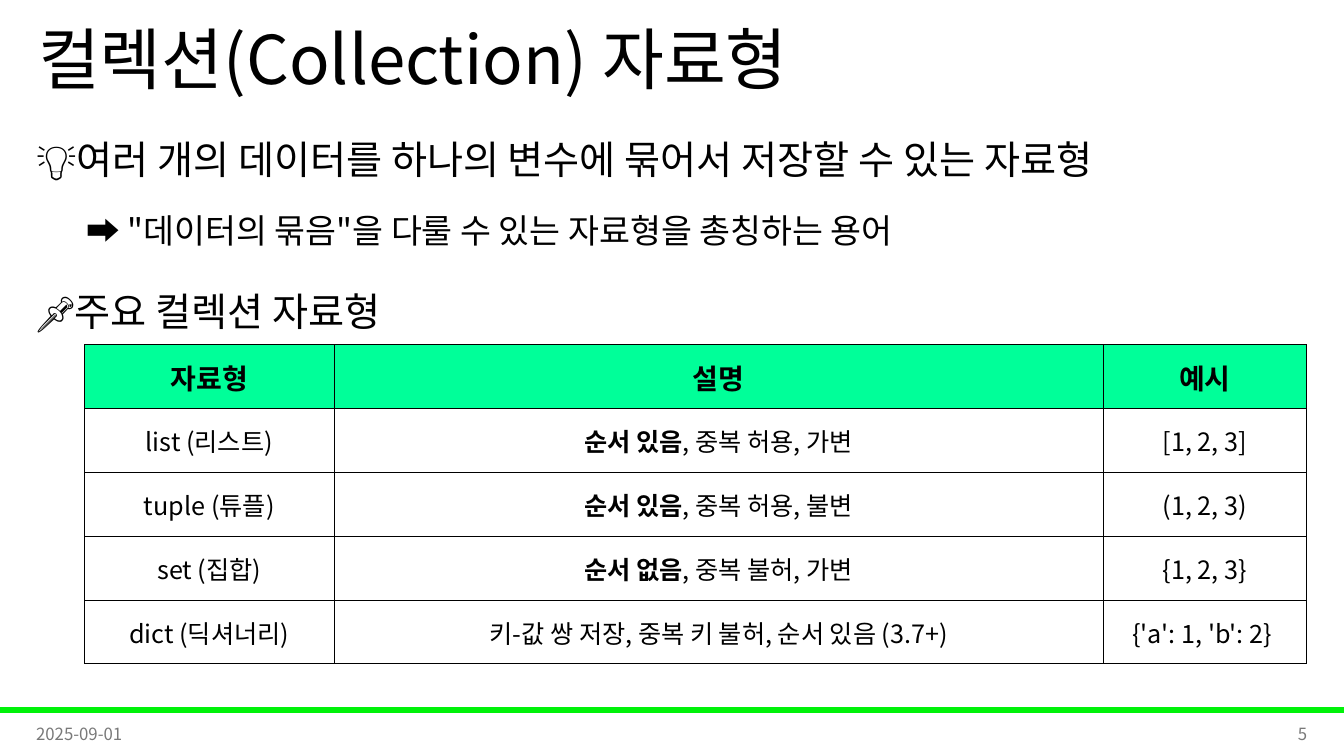
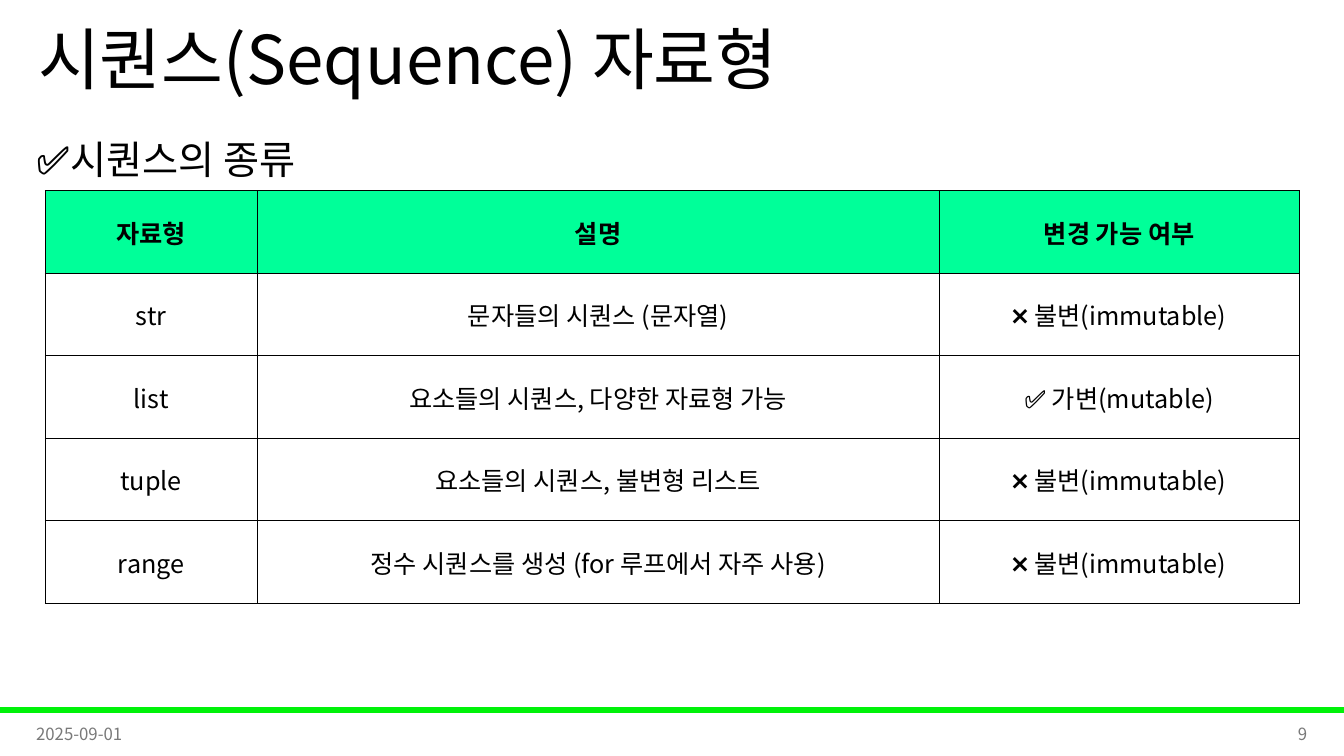
from lxml import etree
from pptx import Presentation
from pptx.dml.color import RGBColor
from pptx.enum.shapes import MSO_SHAPE
from pptx.enum.text import MSO_ANCHOR, PP_ALIGN
from pptx.oxml.ns import qn
from pptx.util import Inches, Pt

RECT = MSO_SHAPE.RECTANGLE
LEFT, MID, RIGHT = PP_ALIGN.LEFT, PP_ALIGN.CENTER, PP_ALIGN.RIGHT
TOP, CENTRE = MSO_ANCHOR.TOP, MSO_ANCHOR.MIDDLE

WIDE, HIGH = Inches(13.33), Inches(7.5)
FONT = "Noto Sans CJK KR"
HUE = {"text": "000000", "mute": "797979", "bar": "00F209",
       "head": "00FF99", "cell": "FFFFFF", "rule": "000000"}
DATE = "2025-09-01"
EDGE, SPAN = 1.95, 96.05
FOOT = 94.35

KINDS = [
    ["자료형", "설명", "예시"],
    ["list (리스트)", "*순서 있음*, 중복 허용, 가변", "[1, 2, 3]"],
    ["tuple (튜플)", "*순서 있음*, 중복 허용, 불변", "(1, 2, 3)"],
    ["set (집합)", "*순서 없음*, 중복 불허, 가변", "{1, 2, 3}"],
    ["dict (딕셔너리)", "키-값 쌍 저장, 중복 키 불허, 순서 있음 (3.7+)", "{'a': 1, 'b': 2} "],
]
FIXED = "❌ 불변(immutable)"
ORDERS = [
    ["자료형", "설명", "변경 가능 여부"],
    ["str", "문자들의 시퀀스 (문자열)", FIXED],
    ["list", "요소들의 시퀀스, 다양한 자료형 가능", "✅ 가변(mutable)"],
    ["tuple", "요소들의 시퀀스, 불변형 리스트", FIXED],
    ["range", "정수 시퀀스를 생성 (for 루프에서 자주 사용)", FIXED],
]


def rgb(name):
    return RGBColor.from_string(HUE[name])


def area(x, y, w, h):
    """Turn percentages of the slide into lengths."""
    return (int(WIDE * x / 100), int(HIGH * y / 100),
            int(WIDE * w / 100), int(HIGH * h / 100))


def write(para, text, size=18, hue="text", bold=False, align=LEFT,
          lead=None, gap=0, level=0):
    """Fill a paragraph; a part between asterisks is bold."""
    para.alignment, para.space_before, para.level = align, Pt(gap), level
    if lead:
        para.line_spacing = lead
    if level:
        para._p.get_or_add_pPr().set("marL", str(Inches(level / 2)))
    for num, part in enumerate(text.split("*")):
        if not part:
            continue
        run = para.add_run()
        run.text = part
        font = run.font
        font.size, font.name = Pt(size), FONT
        font.bold = bold or num % 2 == 1
        font.color.rgb = rgb(hue)
        etree.SubElement(run._r.get_or_add_rPr(), qn("a:ea"), typeface=FONT)


def label(slide, place, lines, anchor=CENTRE, **style):
    """Add a text box; each line is a text with its own format."""
    frame = slide.shapes.add_textbox(*area(*place)).text_frame
    frame.word_wrap, frame.vertical_anchor = True, anchor
    for num, (text, own) in enumerate(lines):
        para = frame.add_paragraph() if num else frame.paragraphs[0]
        write(para, text, **{**style, **own})


def body(slide, high, lines):
    forms = [dict(size=28, gap=10), dict(size=24, gap=5, level=1)]
    label(slide, (EDGE, 14.13, SPAN, high),
          [(text, forms[level]) for level, text in lines],
          anchor=TOP, lead=1.5)


def border(cell):
    props = cell._tc.get_or_add_tcPr()
    for num, side in enumerate("LRTB"):
        line = etree.Element(qn("a:ln" + side), w=str(Pt(0.5)))
        fill = etree.SubElement(line, qn("a:solidFill"))
        etree.SubElement(fill, qn("a:srgbClr"), val=HUE["rule"])
        props.insert(num, line)


def grid(slide, place, cols, rows, head):
    """Add a table; cols are shares of its width, head is the header size."""
    x, y, w, h = area(*place)
    table = slide.shapes.add_table(len(rows), len(cols), x, y, w, h).table
    table.horz_banding = False
    for col, share in zip(table.columns, cols):
        col.width = int(w * share / sum(cols))
    for r, row in enumerate(rows):
        table.rows[r].height = h // len(rows)
        for c, text in enumerate(row):
            cell = table.cell(r, c)
            cell.margin_left = cell.margin_right = cell.margin_top = Inches(0.01)
            cell.margin_bottom = 0
            cell.vertical_anchor = CENTRE
            cell.fill.solid()
            cell.fill.fore_color.rgb = rgb("cell" if r else "head")
            border(cell)
            write(cell.text_frame.paragraphs[0], text, align=MID,
                  size=18 if r else head, bold=r == 0)


def page(deck, title, num):
    """Add a slide with the shared bar, title and footer."""
    slide = deck.slides.add_slide(deck.slide_layouts[6])
    bar = slide.shapes.add_shape(RECT, *area(0, 93.6, 100, 0.67))
    bar.shadow.inherit = False
    bar.fill.solid()
    bar.fill.fore_color.rgb = bar.line.color.rgb = rgb("bar")
    bar.line.width = Pt(1)
    label(slide, (2.1, 0, 86.25, 16.67), [(title, {})], size=48, lead=0.9)
    foot = 22.5
    for x, text, align in ((EDGE, DATE, LEFT),
                           (EDGE + SPAN - foot, str(num), RIGHT)):
        label(slide, (x, FOOT, foot, 5.33), [(text, {})],
              size=12, hue="mute", align=align)
    return slide


def main():
    deck = Presentation()
    deck.slide_width, deck.slide_height = WIDE, HIGH

    slide = page(deck, "컬렉션(Collection) 자료형", 5)
    body(slide, 31.2, [
        (0, "💡여러 개의 데이터를 하나의 변수에 묶어서 저장할 수 있는 자료형"),
        (1, "➡️ \"데이터의 묶음\"을 다룰 수 있는 자료형을 총칭하는 용어"),
        (0, "📌주요 컬렉션 자료형"),
    ])
    grid(slide, (6.3, 45.6, 90.9, 42.2), (2.47, 7.63, 2.01), KINDS, head=20)

    slide = page(deck, "시퀀스(Sequence) 자료형", 9)
    body(slide, 11.07, [(0, "✅시퀀스의 종류")])
    grid(slide, (3.37, 25.2, 93.3, 54.6), (2.1, 6.76, 3.57), ORDERS, head=18)

    deck.save("out.pptx")


if __name__ == "__main__":
    main()
